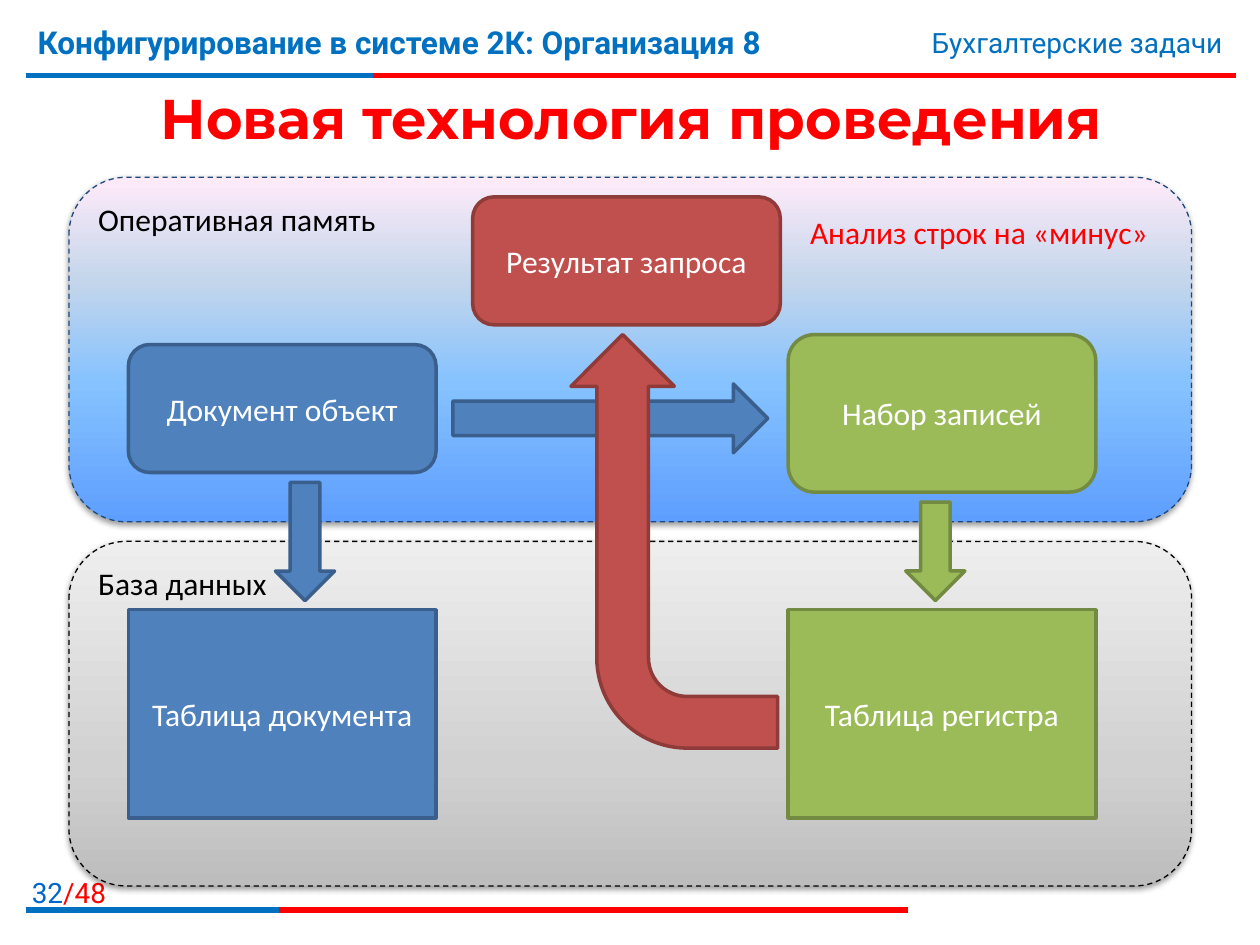
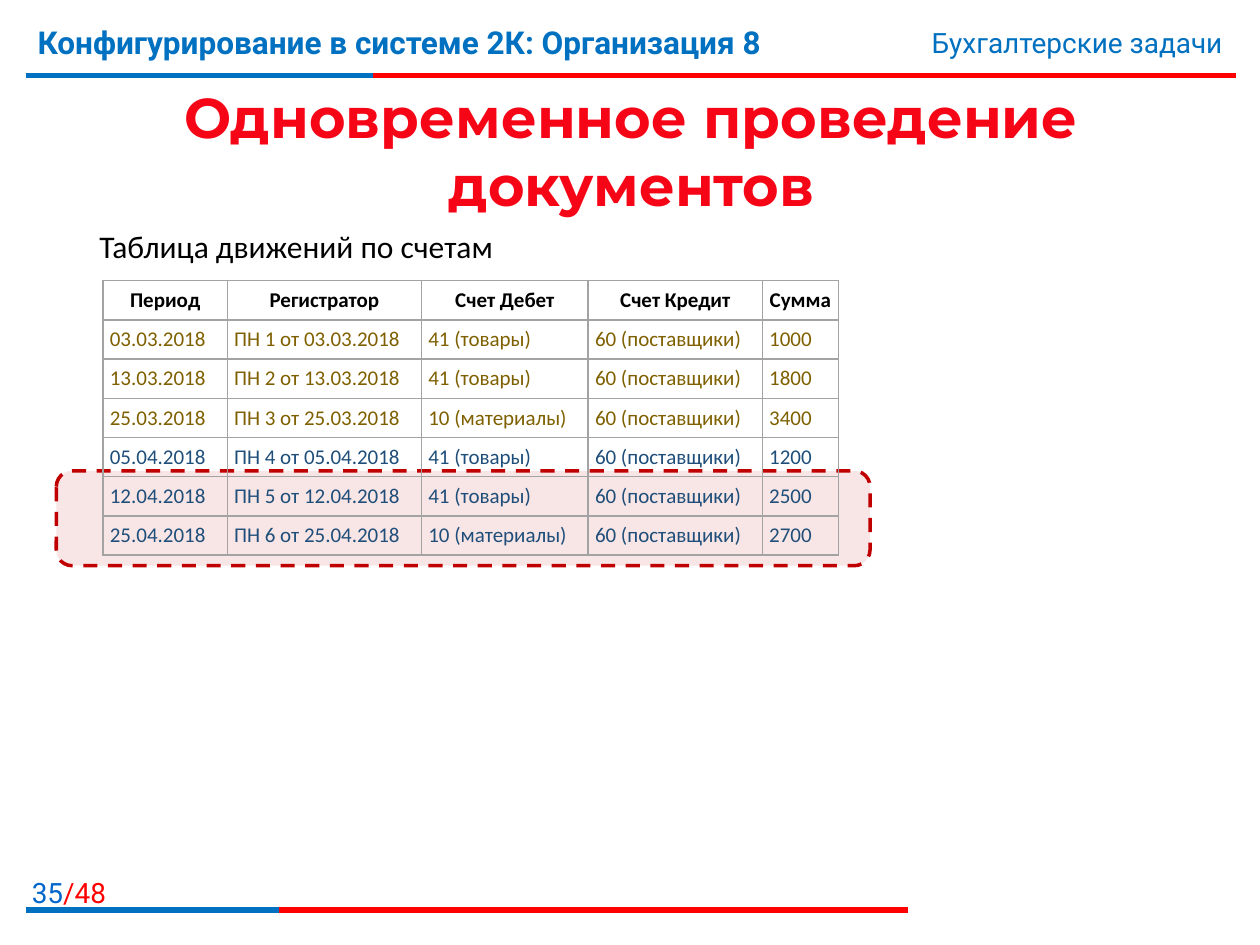
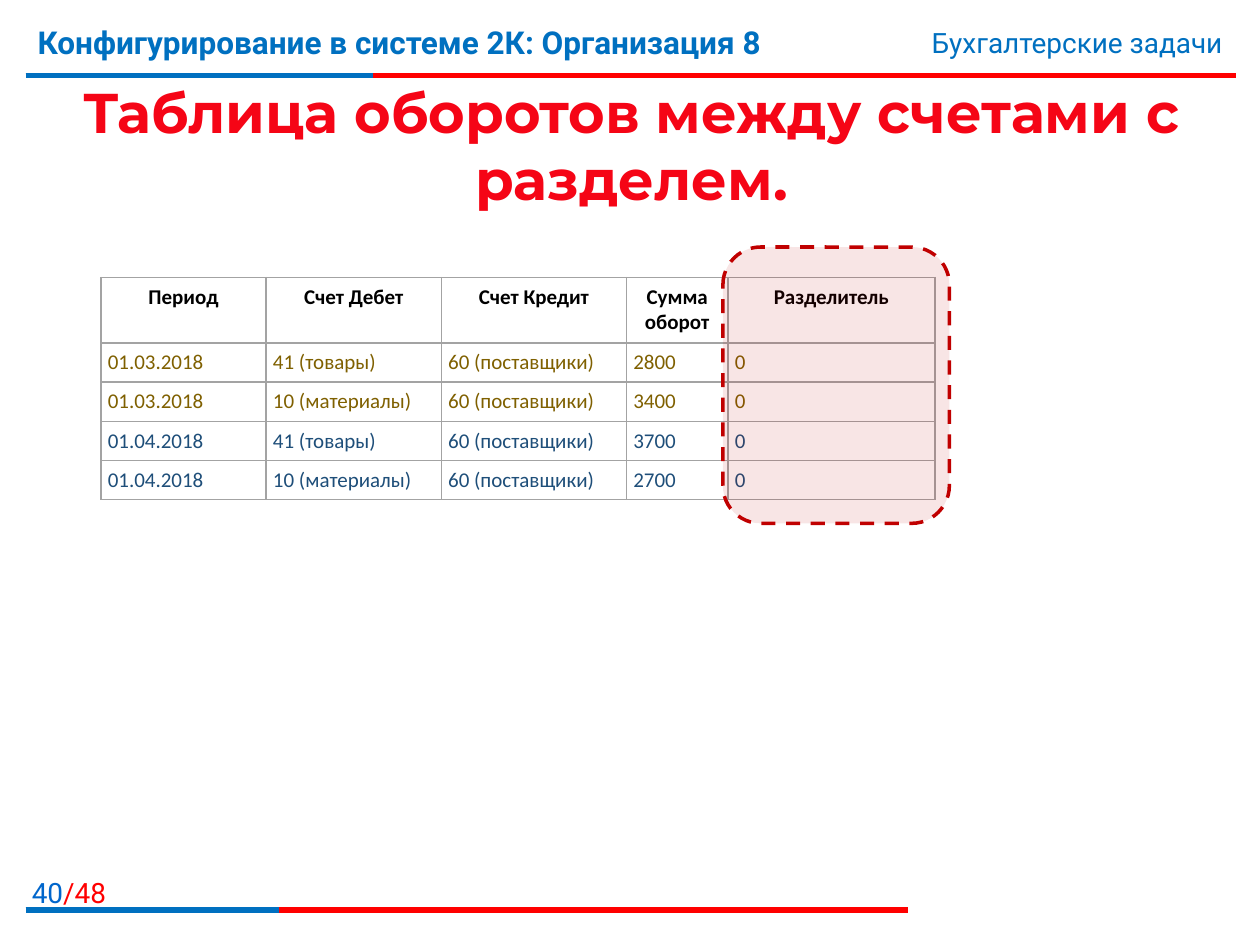
import pptx
import pptx.dml.color
import pptx.enum.dml
import pptx.enum.shapes
import pptx.enum.text
import pptx.oxml
import pptx.util

Pt = pptx.util.Pt
KIND = pptx.enum.shapes.MSO_SHAPE
ALIGN = pptx.enum.text.PP_ALIGN
ANCHOR = pptx.enum.text.MSO_ANCHOR
DASH = pptx.enum.dml.MSO_LINE.DASH
NS = 'xmlns:a="http://schemas.openxmlformats.org/drawingml/2006/main"'

WIDE, HIGH = 720, 540
RED, BLUE, LINK = "FF0000", "0070C0", "0066CC"
BLACK, WHITE, DARK = "000000", "FFFFFF", "C00000"
GOLD, NAVY, GRID = "7F6000", "1E4E79", "A3A3A3"
STEEL, BRICK, LIME = ("4F81BD", "3A5F8C"), ("C0504D", "8E3B39"), ("9BBB59", "738A42")
SKY = [(0, "5E9EFF"), (40, "85C2FF"), (70, "C4D6EB"), (100, "FFEBFA")]
ASH = [(0, "BDBDBD"), (35, "D1D1D1"), (100, "EEEEEE")]
FLAME = [(55, "F50516"), (86, DARK)]
PAGES = 48


def color(code):
    return pptx.dml.color.RGBColor.from_string(code)


def node(body):
    """Build one drawing element from its XML without namespace."""
    head, rest = body.split(">", 1)
    if head.endswith("/"):
        return pptx.oxml.parse_xml(f"{head[:-1]} {NS}/>")
    return pptx.oxml.parse_xml(f"{head} {NS}>{rest}")


def solid(code, alpha=100):
    return (f'<a:solidFill><a:srgbClr val="{code}"><a:alpha val="{alpha * 1000}"/>'
            "</a:srgbClr></a:solidFill>")


def blend(fill, parent, stops, angle):
    """Give the fill of a shape or a run a linear gradient."""
    fill.background()
    marks = "".join(f'<a:gs pos="{pos * 1000}"><a:srgbClr val="{code}"/></a:gs>'
                    for pos, code in stops)
    blank = parent.find(pptx.oxml.ns.qn("a:noFill"))
    parent.replace(blank, node(f"<a:gradFill><a:gsLst>{marks}</a:gsLst>"
                               f'<a:lin ang="{angle * 60000}" scaled="0"/></a:gradFill>'))


def write(frame, text, size=18, font="Calibri", ink=BLACK, bold=False,
          align=ALIGN.LEFT, anchor=ANCHOR.TOP, wrap=True, edge=None):
    """Fill a text frame; text is a string or a list of (string, ink) runs."""
    frame.word_wrap = wrap
    frame.vertical_anchor = anchor
    para = frame.paragraphs[0]
    para.alignment = align
    for part, tone in [(text, ink)] if isinstance(text, str) else text:
        run = para.add_run()
        run.text = part
        run.font.size, run.font.name, run.font.bold = Pt(size), font, bold
        props = run._r.get_or_add_rPr()
        if isinstance(tone, list):
            blend(run.font.fill, props, tone, 90)
        else:
            run.font.color.rgb = color(tone)
        if edge:
            props.insert(0, node(f'<a:ln w="9525">{solid(edge)}</a:ln>'))


def label(slide, box, text, **style):
    write(slide.shapes.add_textbox(*map(Pt, box)).text_frame, text, **style)


def block(slide, kind, box, fill, line, width=2, dash=None, text=None, **style):
    """Add a preset shape; a list as fill means a gradient."""
    shape = slide.shapes.add_shape(kind, *map(Pt, box))
    shape.shadow.inherit = False
    if isinstance(fill, list):
        blend(shape.fill, shape._element.spPr, fill, 270)
    else:
        shape.fill.solid()
        shape.fill.fore_color.rgb = color(fill)
    shape.line.color.rgb = color(line)
    shape.line.width = Pt(width)
    if dash:
        shape.line.dash_style = dash
    if text:
        write(shape.text_frame, text, **style)
    return shape


def rule(slide, x, y, length, part):
    """Draw a red rule whose first part is blue."""
    for span, ink in ((length, RED), (part, BLUE)):
        line = slide.shapes.add_connector(pptx.enum.shapes.MSO_CONNECTOR.STRAIGHT,
                                          Pt(x), Pt(y), Pt(x + span), Pt(y))
        line.line.color.rgb = color(ink)
        line.line.width = Pt(3)
        line._element.spPr.append(node("<a:effectLst/>"))


def base(deck, number, title, height, ink=FLAME):
    """Add a slide with the shared header, footer and title."""
    slide = deck.slides.add_slide(deck.slide_layouts[6])
    rule(slide, 14.7, 43, 691.8, 198.6)
    label(slide, (3.6, 496.8, 64.1, 23), [(str(number), LINK), (f"/{PAGES}", RED)],
          size=16, font="Roboto", align=ALIGN.RIGHT)
    rule(slide, 14.7, 520, 504, 145)
    label(slide, (14.4, 9.4, 532.8, 44.6), "Конфигурирование в системе 2К: Организация 8",
          font="Roboto", ink=BLUE, bold=True)
    label(slide, (427.7, 10.8, 278, 26.6), "Бухгалтерские задачи",
          size=16, font="Roboto", ink=BLUE, align=ALIGN.RIGHT)
    label(slide, (15, 45.4, 692, height), title, size=32, font="Montserrat", ink=ink,
          bold=True, align=ALIGN.CENTER, anchor=ANCHOR.MIDDLE, edge=WHITE)
    return slide


def panel(slide, box, text, fill, line):
    shape = block(slide, KIND.ROUNDED_RECTANGLE, box, fill, line, 0.75, DASH, text)
    effect = shape._element.spPr.find(pptx.oxml.ns.qn("a:effectLst"))
    effect.append(node('<a:outerShdw blurRad="40000" dist="20000" dir="5400000" '
                       'rotWithShape="0"><a:srgbClr val="000000"><a:alpha val="38000"/>'
                       "</a:srgbClr></a:outerShdw>"))


def flow(slide, x, y, width):
    """Memory panel above the database panel, with the data flow across both."""
    high, gap = 196.9, 11.2
    panel(slide, (x, y, width, high), "Оперативная память", SKY, "1F497D")
    panel(slide, (x, y + high + gap, width, high), "База данных", ASH, BLACK)

    left, mid, right = x + 34, x + 230.7, x + 411
    wide, low = 175.8, y + 247.1
    soft, hard = KIND.ROUNDED_RECTANGLE, KIND.RECTANGLE
    cards = [
        (soft, left, y + 95.6, 73.1, STEEL, "Документ объект"),
        (hard, right, low, 119, LIME, "Таблица регистра"),
        (hard, left, low, 119, STEEL, "Таблица документа"),
        (soft, right, y + 89.9, 90, LIME, "Набор записей"),
        (soft, mid, y + 11.2, 73.1, BRICK, "Результат запроса"),
    ]
    for kind, start, top, tall, tones, text in cards:
        block(slide, kind, (start, top, wide, tall), *tones, text=text, ink=WHITE,
              align=ALIGN.CENTER, anchor=ANCHOR.MIDDLE)

    arrows = [
        (KIND.RIGHT_ARROW, (x + 219.4, y + 118.1, 180, 39.4), STEEL, 0),
        (KIND.DOWN_ARROW, (right + 67.2, y + 185.6, 33.8, 56.3), LIME, 0),
        (KIND.BENT_ARROW, (x + 227.8, y + 149, 236.3, 118.1), BRICK, 270),
        (KIND.DOWN_ARROW, (left + 84, y + 174.4, 33.8, 67.5), STEEL, 0),
    ]
    for kind, box, tones, turn in arrows:
        block(slide, kind, box, *tones).rotation = turn
    label(slide, (x + 416.4, y + 16.9, 208, 28.8), "Анализ строк на «минус»",
          ink=RED, wrap=False)


def frame(slide, box):
    """Dashed see-through marker."""
    shape = block(slide, KIND.ROUNDED_RECTANGLE, box, DARK, DARK, dash=DASH)
    tint = shape._element.spPr.find(pptx.oxml.ns.qn("a:solidFill"))
    shape._element.spPr.replace(tint, node(solid(DARK, 10)))


def border(cell):
    cell.fill.background()
    props = cell._tc.get_or_add_tcPr()
    for spot, side in enumerate("LRTB"):
        props.insert(spot, node(f'<a:ln{side} w="12700">{solid(GRID)}</a:ln{side}>'))


def grid(slide, x, y, widths, rows, first, step=22.4):
    """Table with a bold head; March rows are gold and April rows are navy."""
    tall = first + step * (len(rows) - 1)
    table = slide.shapes.add_table(len(rows), len(widths), Pt(x), Pt(y),
                                   Pt(sum(widths)), Pt(tall)).table
    table.first_row = table.horz_banding = False
    for column, width in zip(table.columns, widths):
        column.width = Pt(width)
    for i, row in enumerate(rows):
        table.rows[i].height = Pt(step if i else first)
        ink = BLACK if i == 0 else GOLD if ".03." in row[0] else NAVY
        for j, text in enumerate(row):
            cell = table.cell(i, j)
            cell.margin_left = cell.margin_right = Pt(3.9)
            cell.margin_top = cell.margin_bottom = Pt(3.9)
            border(cell)
            write(cell.text_frame, text, size=12, ink=ink, bold=i == 0,
                  align=ALIGN.LEFT if i else ALIGN.CENTER)


def main():
    deck = pptx.Presentation()
    deck.slide_width, deck.slide_height = Pt(WIDE), Pt(HIGH)
    goods, stuff, debt = "41 (товары)", "10 (материалы)", "60 (поставщики)"

    slide = base(deck, 32, "Новая технология проведения", 43.2, RED)
    flow(slide, 39.4, 101.3, 641.5)

    slide = base(deck, 35, "Одновременное проведение документов", 80.6)
    label(slide, (49.7, 126, 326, 28.8), "Таблица движений по счетам")
    frame(slide, (32.2, 269.1, 465, 54.2))
    moves = [("03.03.2018", goods, "1000"), ("13.03.2018", goods, "1800"),
             ("25.03.2018", stuff, "3400"), ("05.04.2018", goods, "1200"),
             ("12.04.2018", goods, "2500"), ("25.04.2018", stuff, "2700")]
    rows = [(day, f"ПН {i} от {day}", debit, debt, total)
            for i, (day, debit, total) in enumerate(moves, 1)]
    head = ("Период", "Регистратор", "Счет Дебет", "Счет Кредит", "Сумма")
    grid(slide, 58.9, 160.4, (71, 111, 95.3, 99.5, 43.4), [head] + rows, 22.4)

    slide = base(deck, 40, "Таблица оборотов между счетами с разделем.", 74.9)
    turns = [("01.03.2018", goods, "2800"), ("01.03.2018", stuff, "3400"),
             ("01.04.2018", goods, "3700"), ("01.04.2018", stuff, "2700")]
    rows = [(day, debit, debt, total, "0") for day, debit, total in turns]
    head = ("Период", "Счет Дебет", "Счет Кредит", "Сумма оборот", "Разделитель")
    grid(slide, 57.7, 158.6, (94.4, 100.1, 105.8, 58, 118.2), [head] + rows, 37.4)
    frame(slide, (413.1, 141.2, 129.4, 157.9))
    deck.save("out.pptx")


if __name__ == "__main__":
    main()
